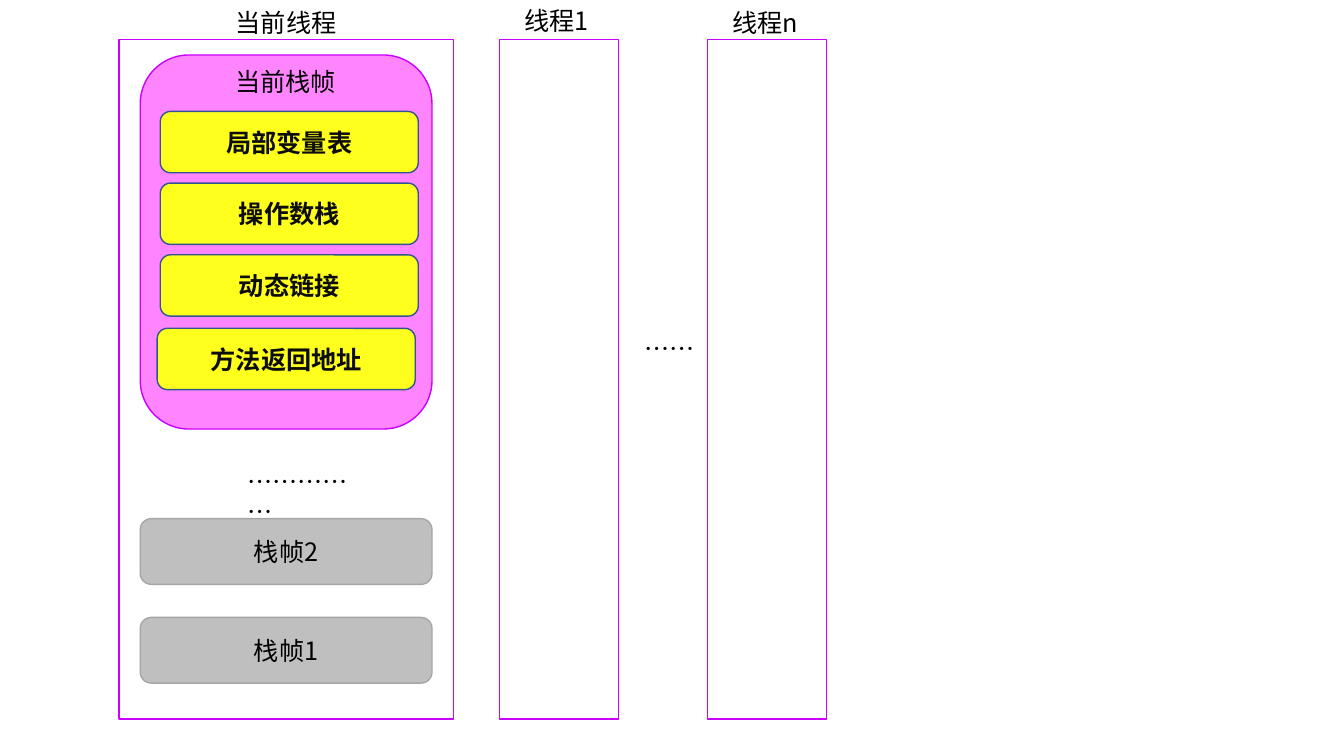
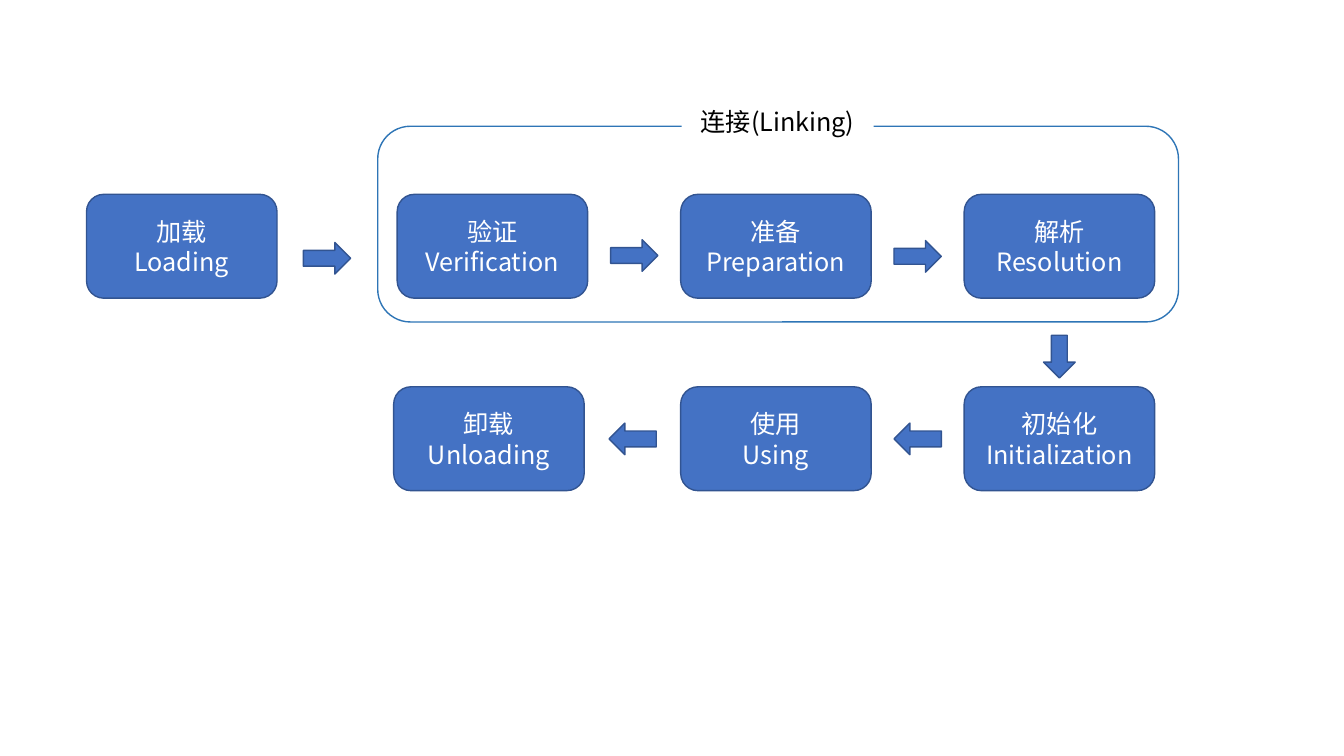
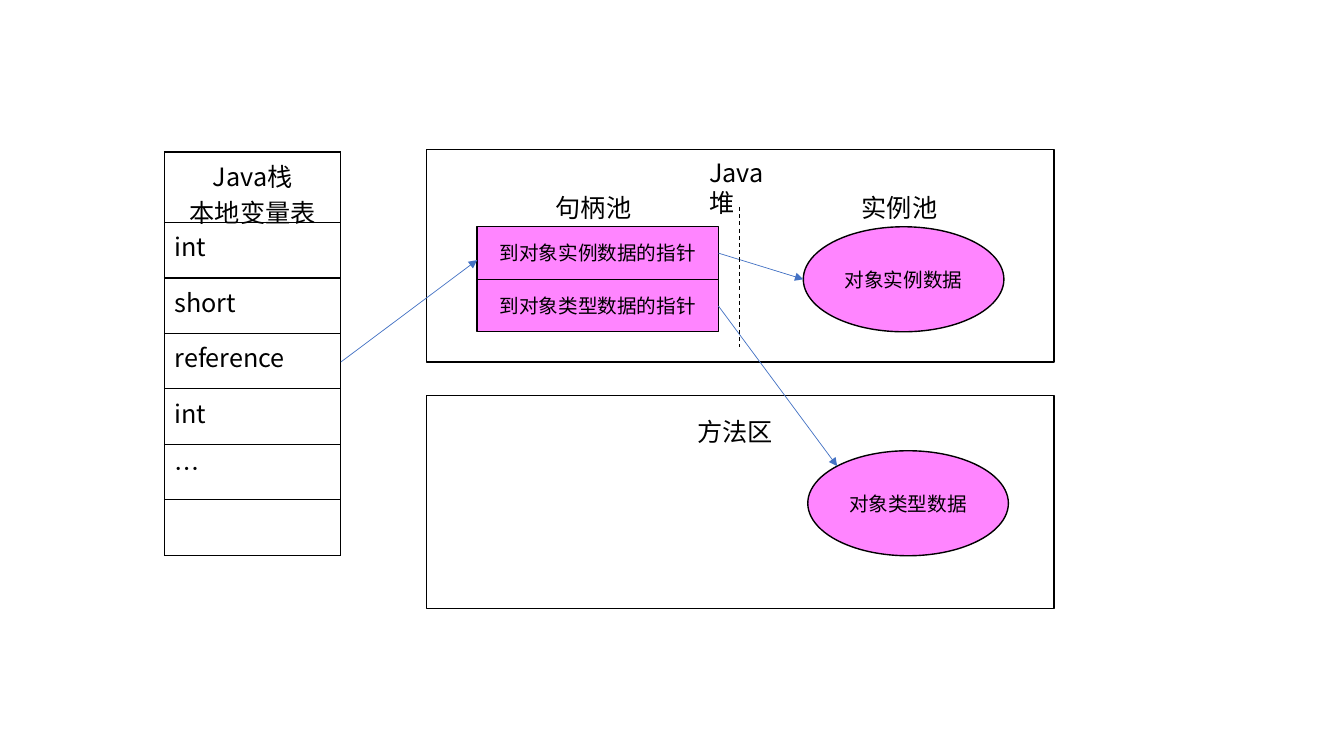
from lxml import etree
from pptx import Presentation
from pptx.dml.color import RGBColor
from pptx.enum.dml import MSO_LINE
from pptx.enum.shapes import MSO_CONNECTOR, MSO_SHAPE
from pptx.enum.text import MSO_ANCHOR, PP_ALIGN
from pptx.oxml.ns import qn
from pptx.util import Pt

RECT, ROUND, OVAL = MSO_SHAPE.RECTANGLE, MSO_SHAPE.ROUNDED_RECTANGLE, MSO_SHAPE.OVAL
RIGHT, DOWN = MSO_SHAPE.RIGHT_ARROW, MSO_SHAPE.DOWN_ARROW
LEFT, CENTER, MIDDLE = PP_ALIGN.LEFT, PP_ALIGN.CENTER, MSO_ANCHOR.MIDDLE
STRAIGHT, DASH = MSO_CONNECTOR.STRAIGHT, MSO_LINE.DASH

FONT = "Noto Sans CJK SC"
BLACK, WHITE, INK = "000000", "FFFFFF", "0D0D0D"
VIOLET, PINK, YELLOW = "CC00FF", "FF85FF", "FFFF1D"
BLUE, NAVY, SKY = "4472C4", "325491", "2E75B6"
GREY, DARK_GREY = "BFBFBF", "A6A6A6"
color = RGBColor.from_string


def write(frame, text, align=LEFT, size=18, ink=BLACK, bold=False, leading=1.21):
    """Fill a text frame, one paragraph per line of text."""
    for index, line in enumerate(text.split("\n")):
        para = frame.paragraphs[0] if index == 0 else frame.add_paragraph()
        para.alignment = align
        if leading:
            para.line_spacing = Pt(round(size * leading, 1))
        span = para.add_run()
        span.text = line
        span.font.color.rgb = color(ink)
        for name, value in {"size": Pt(size), "bold": bold, "name": FONT}.items():
            setattr(span.font, name, value)
        east = etree.SubElement(span.font._element, qn("a:ea"))
        east.set("typeface", FONT)


def place(page, kind, at, text="", fill=WHITE, line=BLACK, **style):
    """Add a preset shape, or a plain label when kind is None."""
    lengths = [Pt(value) for value in at]
    if kind is None:
        box = page.shapes.add_textbox(*lengths)
    else:
        box = page.shapes.add_shape(kind, *lengths)
        box.shadow.inherit = False
        box.fill.solid()
        box.fill.fore_color.rgb = color(fill)
        box.line.color.rgb = color(line)
        box.line.width = Pt(1)
        box.text_frame.vertical_anchor = MIDDLE
    box.text_frame.word_wrap = True
    if text:
        write(box.text_frame, text, LEFT if kind is None else CENTER, **style)
    return box


deck = Presentation()
deck.slide_width, deck.slide_height = Pt(960), Pt(540)
stack_page, loading_page, access_page = [
    deck.slides.add_slide(deck.slide_layouts[6]) for _ in range(3)]

# Threads and stack frames
for left, width in ((85, 239), (356.6, 85), (505.2, 85)):
    place(stack_page, RECT, (left, 28.2, width, 485.5), line=VIOLET)
place(stack_page, ROUND, (100.2, 39.3, 208.4, 267.2), fill=PINK, line=VIOLET)

slots = (("局部变量表", 114.5, 79.6), ("操作数栈", 114.5, 130.8),
         ("动态链接", 114.5, 182), ("方法返回地址", 112.3, 234.5))
for text, left, top in slots:
    place(stack_page, ROUND, (left, top, 184.3, 43.8), text, YELLOW, NAVY,
          ink=INK, bold=True)
for text, top in (("栈帧2", 370.5), ("栈帧1", 441)):
    place(stack_page, ROUND, (100.2, top, 208.4, 46.9), text, GREY, DARK_GREY)

stack_labels = (("当前线程", 161.2, 1.2, 96), ("当前栈帧", 160.8, 43.4, 88.6),
                ("……………", 169.4, 329.2, 88.6), ("线程1", 367.6, 0.2, 96),
                ("……", 453, 234.5, 88.6), ("线程n", 516.2, 1.2, 96))
for text, left, top, width in stack_labels:
    place(stack_page, None, (left, top, width, 29), text)

# Class loading stages
place(loading_page, ROUND, (269.8, 90.2, 572, 139.8), line=SKY)
place(loading_page, ROUND, (487.4, 67, 136.1, 39), "连接(Linking)", line=WHITE)
UPPER, LOWER = 138.8, 276.3
stages = (("加载\nLoading", 61.8, UPPER), ("验证\nVerification", 283.7, UPPER),
          ("准备\nPreparation", 486.2, UPPER), ("解析\nResolution", 688.7, UPPER),
          ("初始化\nInitialization", 688.7, LOWER), ("使用\nUsing", 486.2, LOWER),
          ("卸载\nUnloading", 281.2, LOWER))
for text, left, top in stages:
    place(loading_page, ROUND, (left, top, 136.1, 74.2), text, BLUE, NAVY, ink=WHITE)

arrows = ((216.7, 173.2, 0), (436.2, 171.2, 0), (638.6, 171.8, 0),
          (638.6, 302.2, 180), (435, 302.2, 180))
for left, top, turn in arrows:
    arrow = place(loading_page, RIGHT, (left, top, 33.8, 22.6), fill=BLUE, line=NAVY)
    arrow.rotation = turn
place(loading_page, DOWN, (745.4, 239.5, 22.6, 30.5), fill=BLUE, line=NAVY)

# Object access through handles
rows = ("Java栈\n本地变量表", "int", "short", "reference", "int", "…", "")
table = access_page.shapes.add_table(
    len(rows), 1, Pt(117.5), Pt(108.5), Pt(126), Pt(39.6 * len(rows))).table
table.first_row = table.horz_banding = False
for index, text in enumerate(rows):
    cell = table.cell(index, 0)
    if text:
        write(cell.text_frame, text, LEFT if index else CENTER, leading=None)
    for side in ("a:lnL", "a:lnR", "a:lnT", "a:lnB"):
        border = etree.SubElement(cell._tc.get_or_add_tcPr(), qn(side), w=str(Pt(1)))
        paint = etree.SubElement(border, qn("a:solidFill"))
        etree.SubElement(paint, qn("a:srgbClr"), val=BLACK)
    cell.fill.background()

for top in (106.6, 282.6):
    place(access_page, RECT, (304.6, top, 448.2, 152), line=BLACK)
for text, top in (("到对象实例数据的指针", 162), ("到对象类型数据的指针", 199.5)):
    place(access_page, RECT, (340.8, top, 172.4, 37.5), text, PINK, size=14)
for text, left, top in (("对象实例数据", 573.8, 162), ("对象类型数据", 577, 322)):
    place(access_page, OVAL, (left, top, 143.3, 75), text, PINK, size=14)
access_labels = (("Java 堆", 499.5, 108.6), ("句柄池", 389.9, 133.5),
                 ("实例池", 608.4, 133.5), ("方法区", 491, 293.3))
for text, left, top in access_labels:
    place(access_page, None, (left, top, 74.2, 29), text)

links = ((243.5, 258.6, 340.8, 185.8), (513.2, 180.8, 573.8, 199.5),
         (513.2, 218.6, 598, 333))
divider = (528.4, 147.8, 528.4, 248)
for ends in (*links, divider):
    link = access_page.shapes.add_connector(STRAIGHT, *[Pt(value) for value in ends])
    etree.SubElement(link._element.spPr, qn("a:effectLst"))
    dashed = ends == divider
    link.line.color.rgb = color(BLACK if dashed else BLUE)
    link.line.width = Pt(0.75 if dashed else 0.5)
    if dashed:
        link.line.dash_style = DASH
    else:
        etree.SubElement(link.line._get_or_add_ln(), qn("a:tailEnd"), type="triangle")

deck.save("out.pptx")
